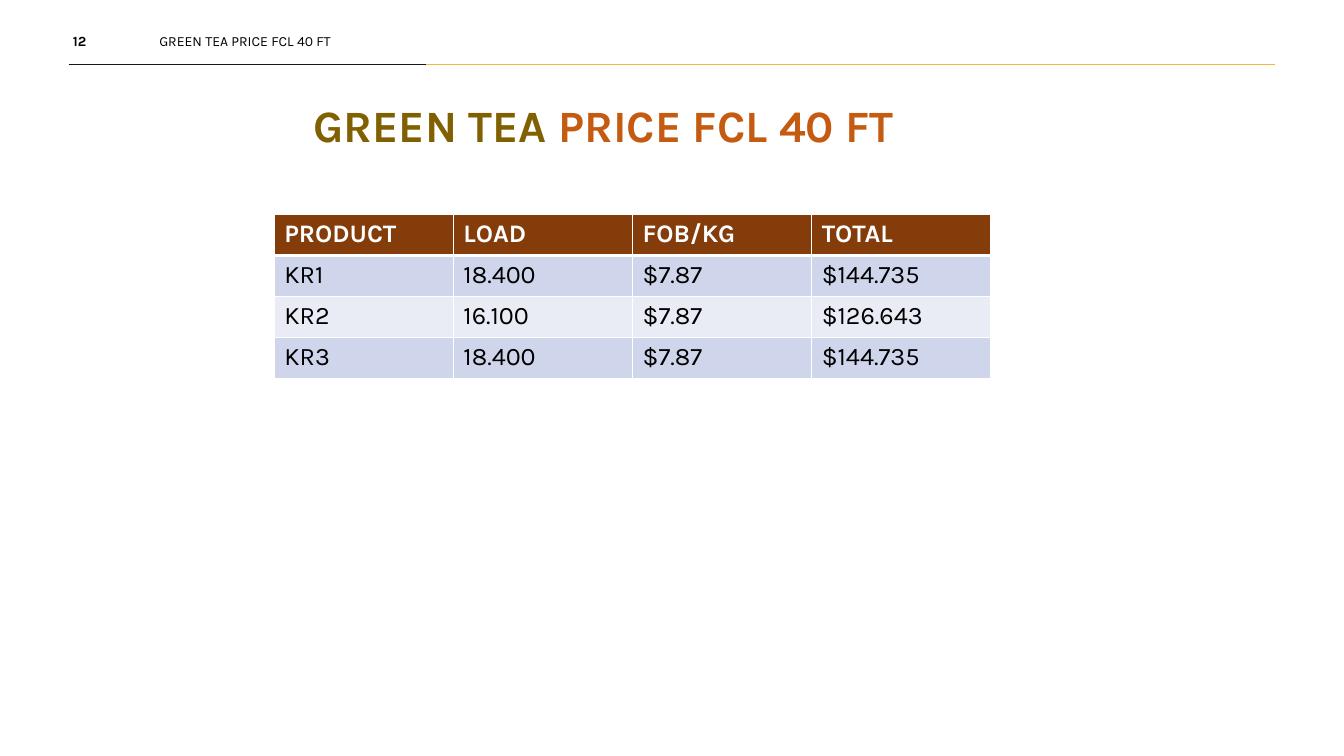
from lxml.etree import SubElement
from pptx import Presentation
from pptx.dml.color import RGBColor
from pptx.enum.shapes import MSO_CONNECTOR
from pptx.enum.text import MSO_AUTO_SIZE, PP_ALIGN
from pptx.oxml import parse_xml
from pptx.oxml.ns import nsdecls, qn
from pptx.util import Inches, Pt

FONT = "Karla"
WHITE = RGBColor(0xFF, 0xFF, 0xFF)
BLACK = RGBColor(0x00, 0x00, 0x00)
INK = RGBColor(0x18, 0x17, 0x17)
AMBER = RGBColor(0xF4, 0xB6, 0x42)
OLIVE = RGBColor(0x80, 0x60, 0x00)
ORANGE = RGBColor(0xC5, 0x5A, 0x11)
BROWN = RGBColor(0x84, 0x3C, 0x0B)
BANDS = [RGBColor(0xE9, 0xEB, 0xF5), RGBColor(0xCF, 0xD5, 0xEA)]

prs = Presentation()
prs.slide_width, prs.slide_height = Inches(13.33), Inches(7.5)
s = prs.slides.add_slide(prs.slide_layouts[6])


def add_text(box, runs, size, bold, margins=True, wrap=True, align=PP_ALIGN.LEFT):
    tb = s.shapes.add_textbox(*[Inches(v) for v in box])
    tf = tb.text_frame
    tf.word_wrap = wrap
    tf.auto_size = MSO_AUTO_SIZE.SHAPE_TO_FIT_TEXT
    if not margins:
        tf.margin_left = tf.margin_right = tf.margin_top = tf.margin_bottom = 0
    p = tf.paragraphs[0]
    p.alignment = align
    p.space_after = Pt(6)
    for text, color in runs:
        r = p.add_run()
        r.text = text
        r.font.name, r.font.size, r.font.bold = FONT, Pt(size), bold
        r.font.color.rgb = color


rows = [
    ["PRODUCT", "LOAD", "FOB/KG", "TOTAL"],
    ["KR1", "18.400", "$7.87", "$144.735"],
    ["KR2", "16.100", "$7.87", "$126.643"],
    ["KR3", "18.400", "$7.87", "$144.735"],
]
COL_W, ROW_H = 1.777, 0.406
table = s.shapes.add_table(
    len(rows), len(rows[0]), Inches(2.72), Inches(2.13),
    Inches(COL_W * len(rows[0])), Inches(ROW_H * len(rows)),
).table
for i, values in enumerate(rows):
    header = i == 0
    for j, value in enumerate(values):
        cell = table.cell(i, j)
        cell.text_frame.text = value
        r = cell.text_frame.paragraphs[0].runs[0]
        r.font.name, r.font.size, r.font.bold = FONT, Pt(18), header
        r.font.color.rgb = WHITE if header else BLACK
        tcPr = cell._tc.get_or_add_tcPr()
        for side in "LRTB":
            thick = (side == "B" and header) or (side == "T" and i == 1)
            tcPr.append(parse_xml(
                f'<a:ln{side} {nsdecls("a")} w="{Pt(3 if thick else 1)}">'
                f'<a:solidFill><a:srgbClr val="{WHITE}"/></a:solidFill></a:ln{side}>'
            ))
        cell.fill.solid()
        cell.fill.fore_color.rgb = BROWN if header else BANDS[i % 2]

add_text((3.01, 0.92, 6.66, 0.64),
         [("GREEN TEA ", OLIVE), ("PRICE FCL 40 FT", ORANGE)], 32, True)
add_text((1.58, 0.32, 2.86, 0.17),
         [("GREEN TEA PRICE FCL 40 FT", BLACK)], 10, False, margins=False)
add_text((0.71, 0.32, 0.16, 0.17), [("12", BLACK)], 10, True,
         margins=False, wrap=False, align=PP_ALIGN.CENTER)

RULE_LEFT, RULE_Y = 0.68, 0.64
for right, color in [(12.65, AMBER), (4.23, INK)]:
    rule = s.shapes.add_connector(
        MSO_CONNECTOR.STRAIGHT, Inches(RULE_LEFT), Inches(RULE_Y), Inches(right), Inches(RULE_Y))
    rule.line.color.rgb = color
    rule.line.width = Pt(0.5)
    SubElement(rule._element.spPr, qn("a:effectLst"))

prs.save("out.pptx")
